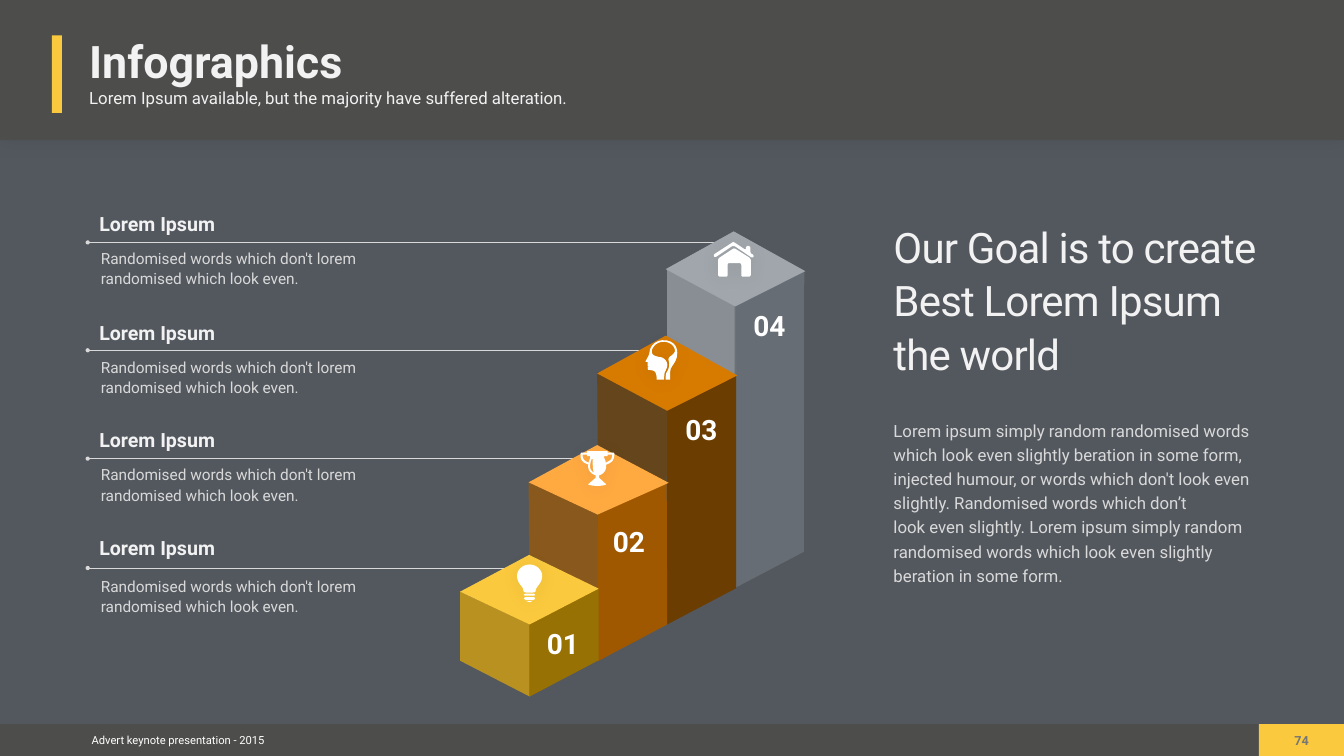
from lxml import etree
from pptx import Presentation
from pptx.dml.color import RGBColor
from pptx.enum.shapes import MSO_CONNECTOR, MSO_SHAPE
from pptx.enum.text import MSO_ANCHOR, PP_ALIGN
from pptx.oxml.ns import qn
from pptx.util import Pt

PX = 9144  # one px is a hundredth of an inch
W, H = 2667, 1500
FONT = "Roboto"
C = {
    "bg": "53585F", "band": "4D4E4C", "yellow": "FAC93D", "white": "FFFFFF",
    "light": "F2F2F2", "soft": "D9D9D9", "page": "777776", "shadow": "000000",
    "gold": "E3AA06", "olive": "987104", "orange": "FFA941", "rust": "A05800",
    "amber": "D77A00", "brown": "6C3D00", "silver": "A1A6AC", "steel": "686F76",
}
MIDDLE, TOP = MSO_ANCHOR.MIDDLE, MSO_ANCHOR.TOP
BLURB = "Randomised words which don't lorem randomised which look even."

# Icon outlines, relative to the icon's top left corner
BULB = """M 25 0 C 11 0 0 10 0 23 C 0 36 11 44 12 48 C 13 52 12 54 15 55 C 18 56 24 56 24 56
C 24 56 32 56 35 55 C 38 54 36 52 38 48 C 39 44 50 36 50 23 C 50 10 38 0 25 0 Z
M 25 75 L 32 72 L 17 72 Z M 16 65 L 34 65 L 36 67 L 34 70 L 16 70 L 13 67 Z
M 16 58 L 34 58 L 36 60 L 34 62 L 16 62 L 13 60 Z"""
TROPHY = """M 67 8 C 67 6 67 5 67 5 C 67 4 66 3 65 3 L 54 3 L 54 0 L 13 0 L 13 3 L 2 3
C 1 3 0 4 0 5 C 0 11 0 16 4 20 C 6 23 11 25 16 27 C 15 28 15 29 15 30 C 15 39 22 46 30 48
L 30 53 L 15 66 C 15 66 19 69 34 69 C 48 69 51 66 51 66 L 37 53 L 37 48
C 45 46 51 39 51 30 L 51 27 C 56 25 60 23 63 20 C 66 16 67 11 67 8 Z
M 60 17 C 58 19 54 21 50 23 C 50 20 49 17 47 14 L 47 10 L 54 10 L 54 7 L 63 7
C 63 10 62 15 60 17 Z M 7 17 C 5 15 4 11 4 7 L 13 7 L 13 10 L 19 10 L 19 14
C 18 17 17 20 16 23 C 12 21 8 19 7 17 Z
M 27 43 C 21 39 19 36 19 30 C 19 26 20 21 22 16 L 24 15 C 24 21 24 27 25 38 Z"""
HEAD = """M 23 78 L 38 78 C 38 74 38 69 39 64 C 42 58 48 48 41 40 C 34 32 32 35 23 32
C 14 30 12 25 14 18 C 17 12 23 3 38 3 C 53 4 61 15 59 23 C 56 31 43 33 47 41
C 49 46 48 52 46 58 C 43 64 41 65 41 73 L 41 78 L 50 78 L 50 62 C 50 50 64 46 64 25
C 64 11 55 -1 34 0 C 18 1 9 15 9 23 C 9 31 -1 43 1 43 L 5 43 L 5 52 L 8 52 L 5 54
L 6 59 C 6 59 18 59 20 63 C 23 67 23 74 23 78 Z"""
HOUSE = """M 38 0 L 35 2 L 1 24 C 0 25 -1 27 0 29 C 1 30 3 30 5 29 L 35 9 C 37 8 40 8 42 9
L 73 30 C 75 31 77 31 78 30 C 79 28 78 26 77 25 L 75 24 C 73 23 72 20 72 18 L 72 12
C 72 10 70 8 68 8 L 67 8 C 65 8 63 10 63 12 L 63 13 C 63 15 62 15 60 14 L 42 2 Z
M 40 13 C 39 13 38 13 37 14 L 11 31 C 10 32 8 34 8 36 L 8 65 C 8 67 10 69 12 69 L 24 69
C 26 69 27 67 27 65 L 27 45 C 27 43 29 42 31 42 L 50 42 C 52 42 54 43 54 45 L 54 65
C 54 67 55 69 57 69 L 69 69 C 71 69 73 67 73 65 L 73 37 C 73 35 72 33 70 31 L 43 14 Z"""

# Number, its place, faces (points, colour, opacity) and icon; tallest step first
STEPS = [
    ("04", (1489, 602), [
        ([(1324, 535), (1324, 680), (1462, 747), (1460, 599)], "silver", 70),
        ([(1596, 537), (1595, 1095), (1458, 1167), (1458, 596)], "steel", 92),
        ([(1321, 534), (1459, 608), (1598, 538), (1456, 459)], "silver", 100),
    ], HOUSE, (1417, 480)),
    ("03", (1354, 810), [
        ([(1185, 738), (1186, 883), (1323, 958), (1324, 811)], "brown", 70),
        ([(1461, 746), (1461, 1167), (1324, 1239), (1324, 810)], "brown", 100),
        ([(1185, 741), (1324, 815), (1463, 745), (1321, 666)], "amber", 100),
    ], HEAD, (1280, 675)),
    ("02", (1210, 1031), [
        ([(1049, 956), (1050, 1101), (1187, 1168), (1186, 1020)], "rust", 70),
        ([(1323, 957), (1324, 1239), (1186, 1312), (1186, 1021)], "rust", 100),
        ([(1049, 957), (1186, 1021), (1327, 958), (1185, 883)], "orange", 100),
    ], TROPHY, (1152, 895)),
    ("01", (1079, 1233), [
        ([(913, 1174), (913, 1311), (1051, 1382), (1051, 1238)], "gold", 70),
        ([(1188, 1168), (1188, 1310), (1051, 1382), (1051, 1232)], "olive", 100),
        ([(913, 1174), (1051, 1239), (1188, 1168), (1050, 1101)], "yellow", 100),
    ], BULB, (1026, 1120)),
]
# Tops of heading, rule and text, and the right end of the rule
LABELS = [(420, 481, 491, 1430), (636, 695, 706, 1321),
          (849, 910, 920, 1155), (1064, 1127, 1141, 1026)]


def rgb(name):
    return RGBColor.from_string(C[name])


def paint(shape, color, alpha=100):
    shape.shadow.inherit = False
    shape.fill.solid()
    shape.fill.fore_color.rgb = rgb(color)
    shape.line.fill.background()
    if alpha < 100:
        clr = shape._element.spPr.find(qn("a:solidFill"))[0]
        etree.SubElement(clr, qn("a:alpha"), val=str(alpha * 1000))


def add_shadow(shape):
    effects = shape._element.spPr.find(qn("a:effectLst"))
    shadow = etree.SubElement(effects, qn("a:outerShdw"), blurRad=str(Pt(26)),
                              dist=str(Pt(2)), dir="5400000", rotWithShape="0")
    clr = etree.SubElement(shadow, qn("a:srgbClr"), val=C["shadow"])
    etree.SubElement(clr, qn("a:alpha"), val="5000")


def place(shape, x, y, w, h):
    shape.left, shape.top, shape.width, shape.height = (v * PX for v in (x, y, w, h))


def rect(s, x, y, w, h, color):
    shape = s.shapes.add_shape(MSO_SHAPE.RECTANGLE, x * PX, y * PX, w * PX, h * PX)
    paint(shape, color)
    return shape


def write(shape, lines, size, color, bold=False, anchor=TOP, align=PP_ALIGN.LEFT,
          inset=0, wrap=True, spacing=1.0, before=0, track=0):
    tf = shape.text_frame
    tf.word_wrap, tf.vertical_anchor = wrap, anchor
    tf.margin_left = tf.margin_right = tf.margin_top = tf.margin_bottom = inset * PX
    for i, line in enumerate(lines):
        p = tf.paragraphs[0] if i == 0 else tf.add_paragraph()
        r = p.add_run()
        r.text = line
        p.alignment, p.line_spacing = align, spacing
        p.space_before = Pt(before if i else 0)
        p.font.name, p.font.size, p.font.bold = FONT, Pt(size), bold
        p.font.color.rgb = rgb(color)
        if track:
            r._r.get_or_add_rPr().set("spc", str(track))


def text(s, x, y, w, h, lines, size, color, **style):
    box = s.shapes.add_textbox(x * PX, y * PX, w * PX, h * PX)
    write(box, lines, size, color, **style)


def outline(path, x, y, steps=6):
    """Turn a path of M, L, C and Z commands into contours of points."""
    contours, tokens = [], iter(path.split())
    for cmd in tokens:
        if cmd == "Z":
            continue
        pts = [(x + int(next(tokens)), y + int(next(tokens)))
               for _ in range(3 if cmd == "C" else 1)]
        if cmd == "M":
            contours.append(pts)
        elif cmd == "L":
            contours[-1] += pts
        else:
            curve = [contours[-1][-1]] + pts
            for t in (i / steps for i in range(1, steps + 1)):
                weights = ((1 - t) ** 3, 3 * t * (1 - t) ** 2, 3 * t * t * (1 - t), t ** 3)
                contours[-1].append(tuple(sum(k * p[axis] for k, p in zip(weights, curve))
                                          for axis in (0, 1)))
    return contours


def freeform(s, contours, color, alpha=100):
    contours = [[(round(x * PX), round(y * PX)) for x, y in c] for c in contours]
    fb = s.shapes.build_freeform(*contours[0][0])
    for i, contour in enumerate(contours):
        if i:
            fb.move_to(*contour[0])
        fb.add_line_segments(contour[1:], close=True)
    shape = fb.convert_to_shape()
    paint(shape, color, alpha)
    return shape


def header(s, x, y, w, h):
    add_shadow(rect(s, x, y, w, h, "band"))
    rect(s, x + 103, y + 70, 20, 154, "yellow")
    title = s.shapes.title
    s.shapes._spTree.append(title._element)  # bring in front of the band
    place(title, x + 169, y + 59, 525, 123)
    write(title, ["Infographics"], 64, "light", bold=True, anchor=MIDDLE, inset=8, wrap=False)
    text(s, x + 169, y + 167, 1074, 56,
         ["Lorem Ipsum available, but the majority have suffered alteration."],
         24, "light", inset=8)


def footer(s, x, y, w, h):
    rect(s, x, y, w, h, "band")
    text(s, x + 171, y + 9, 365, 45, ["Advert keynote presentation - 2015"], 16, "white",
         anchor=MIDDLE, align=PP_ALIGN.CENTER, inset=8, wrap=False)
    rect(s, x + w - 169, y, 169, h, "yellow")
    text(s, x + w - 107, y + 10, 46, 49, ["74"], 18, "page", bold=True,
         align=PP_ALIGN.CENTER, inset=8, wrap=False)


def label(s, x, head_y, rule_y, body_y, end_x):
    rule = s.shapes.add_connector(MSO_CONNECTOR.STRAIGHT, x * PX, rule_y * PX,
                                  end_x * PX, rule_y * PX)
    rule.line.color.rgb, rule.line.width = rgb("soft"), Pt(1)
    etree.SubElement(rule.line._get_or_add_ln(), qn("a:headEnd"), type="oval")
    etree.SubElement(rule._element.spPr, qn("a:effectLst"))
    text(s, x + 23, head_y, 256, 47, ["Lorem Ipsum"], 28, "light", bold=True, anchor=MIDDLE)
    text(s, x + 26, body_y, 565, 113, [BLURB], 22, "soft", spacing=1.1)


def step(s, number, spot, faces, icon, icon_at):
    for points, color, alpha in faces:
        freeform(s, [points], color, alpha)
    text(s, *spot, 76, 85, [number], 40, "white", bold=True, anchor=MIDDLE,
         align=PP_ALIGN.CENTER, wrap=False)
    add_shadow(freeform(s, outline(icon, *icon_at), "white"))


def goal(s, x, y):
    text(s, x, y, 752, 306, ["Our Goal is to create", "Best Lorem Ipsum", "the world"],
         60, "light", spacing=0.9, before=12, track=-120)
    text(s, x, y + 376, 725, 387, [
        "Lorem ipsum simply random randomised words which look even slightly beration in "
        "some form, injected humour, or words which don't look even slightly. Randomised "
        "words which don’t",
        "look even slightly. Lorem ipsum simply random randomised words which look even "
        "slightly beration in some form."], 24, "soft", spacing=1.2)


def main():
    prs = Presentation()
    prs.slide_width, prs.slide_height = W * PX, H * PX
    s = prs.slides.add_slide(prs.slide_layouts[5])
    s.background.fill.solid()
    s.background.fill.fore_color.rgb = rgb("bg")
    header(s, 0, 0, W, 278)
    footer(s, 0, 1437, W, 63)
    for row in LABELS:
        label(s, 174, *row)
    for part in STEPS:
        step(s, *part)
    goal(s, 1773, 450)
    prs.save("out.pptx")


if __name__ == "__main__":
    main()
